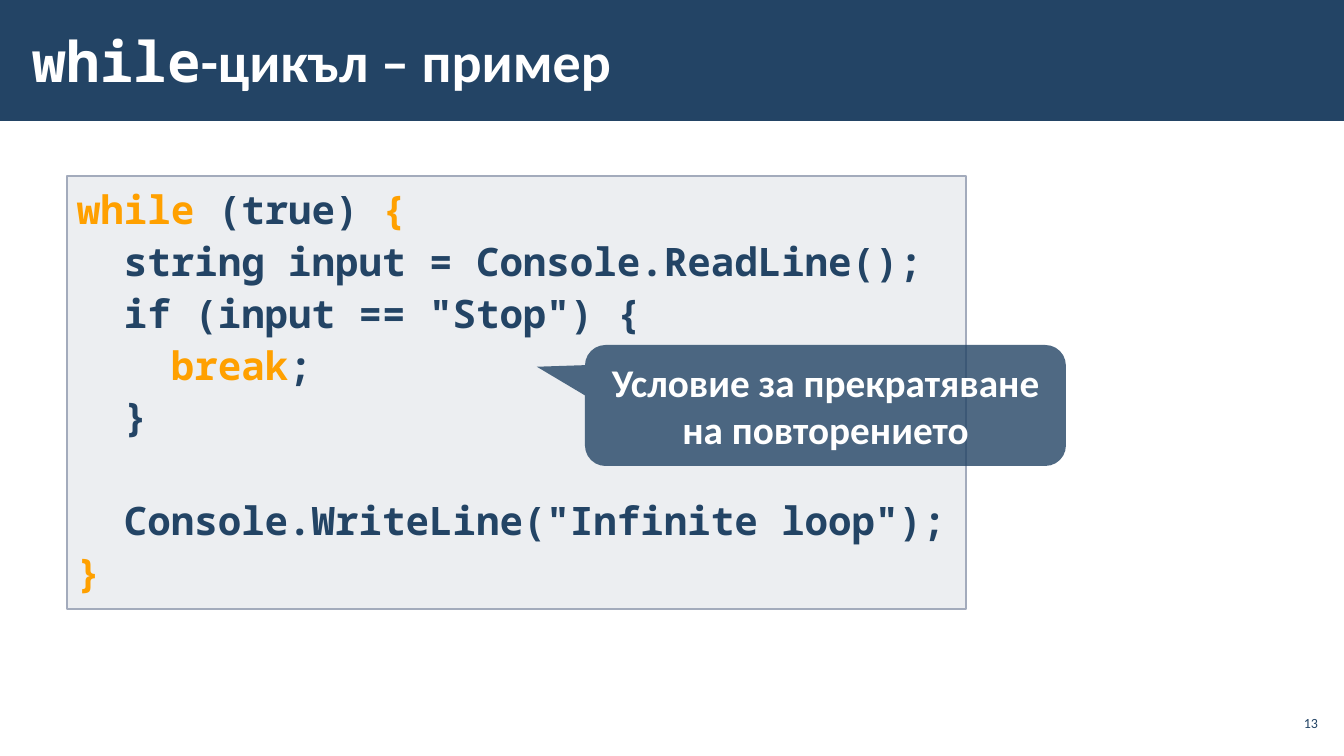
import pptx
import pptx.util
import pptx.dml.color
import pptx.enum.shapes
import pptx.enum.text
import pptx.oxml

PX = 914400 / 100.8
SANS, MONO = "Calibri", "Noto Sans Mono"
COLORS = {"navy": "234465", "grey": "A3ABBC", "orange": "FFA000", "white": "FFFFFF"}
SHAPE = pptx.enum.shapes.MSO_SHAPE
ALIGN = pptx.enum.text.PP_ALIGN
ANCHOR = pptx.enum.text.MSO_ANCHOR


def add_box(kind, left, top, width, height, color, opacity=100):
    """Add a preset shape with a flat fill, no outline and no shadow."""
    sp = slide.shapes.add_shape(kind, *(round(v * PX) for v in (left, top, width, height)))
    sp.shadow.inherit = False
    sp.fill.solid()
    sp.fill.fore_color.rgb = pptx.dml.color.RGBColor.from_string(COLORS[color])
    sp.line.fill.background()
    if opacity < 100:
        srgb = sp.fill._xPr.find(".//" + pptx.oxml.ns.qn("a:srgbClr"))
        pptx.oxml.ns  # namespace helpers are loaded with pptx.oxml
        alpha = srgb.makeelement(pptx.oxml.ns.qn("a:alpha"), {"val": str(opacity * 1000)})
        srgb.append(alpha)
    return sp


def add_run(p, text, size, font, color, bold=True):
    r = p.add_run()
    r.text = text
    r.font.size = pptx.util.Pt(size)
    r.font.name = font
    r.font.bold = bold
    r.font.color.rgb = pptx.dml.color.RGBColor.from_string(COLORS[color])


prs = pptx.Presentation()
prs.slide_width, prs.slide_height = round(1344 * PX), round(756 * PX)
slide = prs.slides.add_slide(prs.slide_layouts[5])

# Title on its band
band = add_box(SHAPE.RECTANGLE, 0, 0, 1344, 121, "navy")
slide.shapes._spTree.insert(2, band._element)
title = slide.shapes.title
title.left, title.top, title.width, title.height = (round(v * PX) for v in (21, 11, 1047, 98))
tf = title.text_frame
tf.vertical_anchor = ANCHOR.MIDDLE
tf.margin_left = tf.margin_right = round(12 * PX)
tf.margin_top = tf.margin_bottom = round(4 * PX)
p = tf.paragraphs[0]
p.alignment = ALIGN.LEFT
add_run(p, "while", 40, MONO, "white")
add_run(p, "-цикъл – пример", 40, SANS, "white")

# Slide number
number = slide.shapes.add_textbox(*(round(v * PX) for v in (1275, 706, 47, 34)))
tf = number.text_frame
tf.word_wrap = True
tf.vertical_anchor = ANCHOR.MIDDLE
tf.margin_left = tf.margin_right = tf.margin_top = tf.margin_bottom = round(4 * PX)
p = tf.paragraphs[0]
p.alignment = ALIGN.RIGHT
add_run(p, "13", 10, SANS, "navy", bold=False)

# Code: indent level, space before in points, coloured pieces
CODE = [
    (0, 0, [("while ", "orange"), ("(true) ", "navy"), ("{", "orange")]),
    (1, 0, [("string input = Console.ReadLine();", "navy")]),
    (1, 0, [('if (input == "Stop") {', "navy")]),
    (2, 0, [("break", "orange"), (";", "navy")]),
    (1, 0, [("}", "navy")]),
    (1, 37, [('Console.WriteLine("Infinite loop");', "navy")]),
    (0, 0, [("}", "orange")]),
]
INDENT = 47
code = add_box(SHAPE.RECTANGLE, 67, 176, 899, 433, "grey", opacity=20)
code.line.color.rgb = pptx.dml.color.RGBColor.from_string(COLORS["grey"])
code.line.width = pptx.util.Pt(1)
tf = code.text_frame
tf.word_wrap = True
tf.vertical_anchor = ANCHOR.TOP
for i, (level, gap, pieces) in enumerate(CODE):
    p = tf.add_paragraph() if i else tf.paragraphs[0]
    p.alignment = ALIGN.LEFT
    p.line_spacing = 1.1
    p.space_before = pptx.util.Pt(gap)
    p._p.get_or_add_pPr().set("marL", str(round(level * INDENT * PX)))
    for text, color in pieces:
        add_run(p, text, 28, MONO, color)

# Callout
callout = add_box(SHAPE.ROUNDED_RECTANGULAR_CALLOUT, 585, 345, 481, 121, "navy", opacity=80)
for i, value in enumerate((-0.6, -0.32, 0.17)):
    callout.adjustments[i] = value
tf = callout.text_frame
tf.word_wrap = True
tf.vertical_anchor = ANCHOR.MIDDLE
p = tf.paragraphs[0]
p.alignment = ALIGN.CENTER
add_run(p, "Условие за прекратяване на повторението", 28, SANS, "white")

prs.save("out.pptx")
